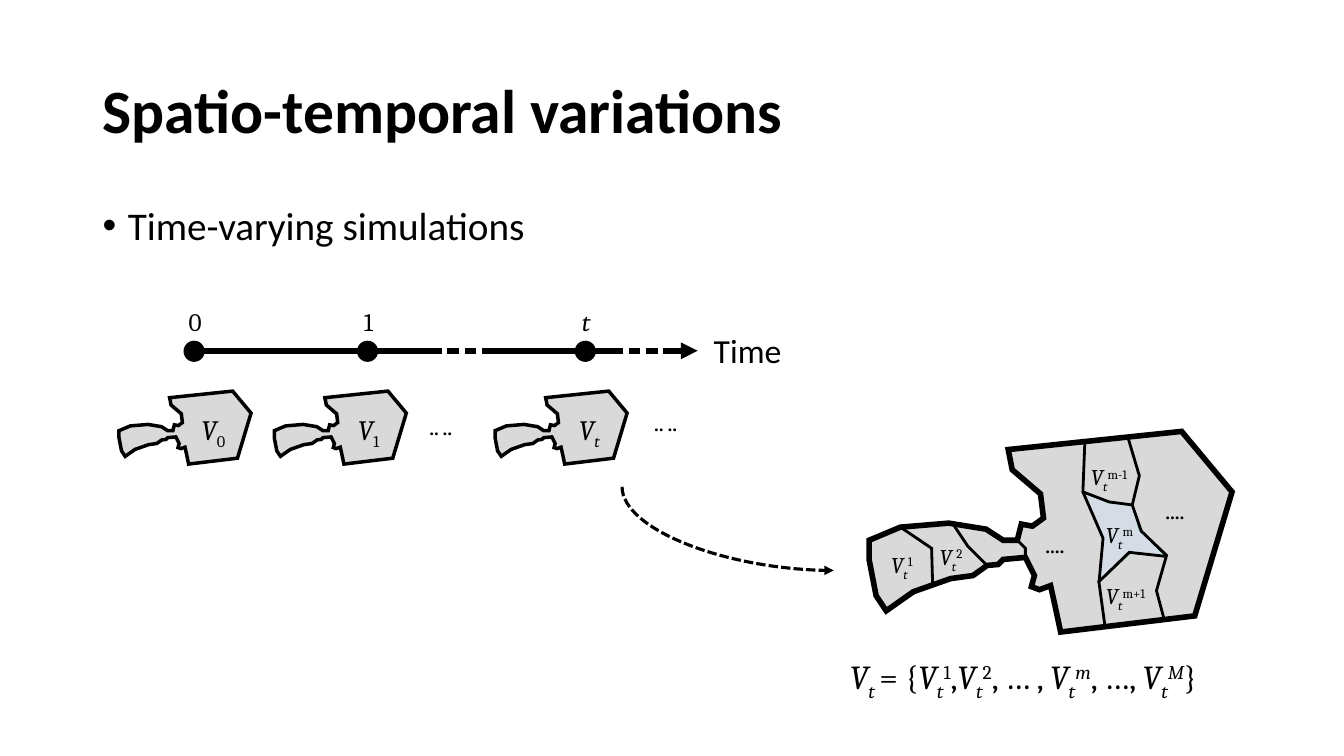
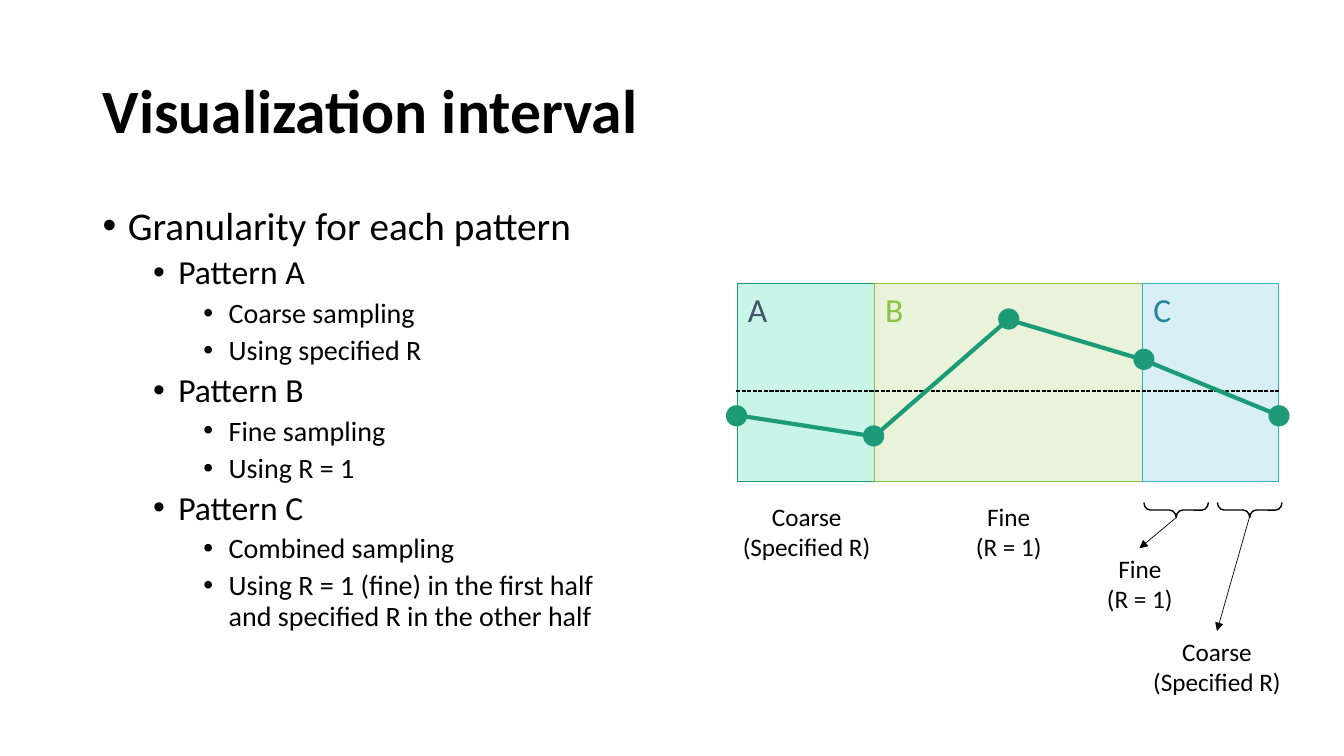
from dataclasses import dataclass
from typing import NamedTuple

from lxml.etree import SubElement
from pptx import Presentation
from pptx.dml.color import RGBColor
from pptx.enum.dml import MSO_LINE_DASH_STYLE as Dash
from pptx.enum.shapes import MSO_CONNECTOR as Connector, MSO_SHAPE as Shape
from pptx.enum.text import MSO_ANCHOR as Anchor, MSO_AUTO_SIZE as AutoSize, PP_ALIGN as Align
from pptx.oxml.ns import qn
from pptx.util import Pt

PX = 9144


@dataclass(frozen=True)
class Theme:
    sans: str = "Calibri"
    serif: str = "Cambria"
    ink: str = "000000"
    paper: str = "FFFFFF"
    vessel: str = "D9D9D9"
    cell: str = "D6DCE5"
    accent: str = "1D9A78"
    bands: tuple = (
        ("A", "C8F5E8", "1D9A78", "44546A"),
        ("B", "E8F3DA", "8BC145", "8BC145"),
        ("C", "D7EFF5", "36AFCE", "26859D"),
    )
    title: int = 44
    levels: tuple = (28, 24, 20)
    large: int = 24
    symbol: int = 20
    label: int = 18
    small: int = 16
    dots: int = 12


THEME = Theme()


class Box(NamedTuple):
    left: int
    top: int
    width: int
    height: int

    def inner(self, x, y, width, height):
        return Box(self.left + x, self.top + y, width, height)

    def points(self, pairs):
        return [(self.left + x, self.top + y) for x, y in pairs]

    def emu(self):
        return [round(value * PX) for value in self]


TITLE = Box(92, 40, 1150, 145)
BODY = Box(92, 200, 1150, 476)
DOT = 21
VESSEL_WIDTH = 360
VESSEL_OUTLINE = (
    (0, 108), (31, 95), (79, 91), (116, 97), (133, 108), (147, 108), (151, 92),
    (162, 94), (173, 86), (170, 62), (142, 38), (138, 18), (310, 0), (360, 60),
    (323, 183), (190, 199), (184, 171), (180, 153), (169, 157), (161, 154),
    (164, 143), (155, 125), (133, 127), (128, 132), (117, 133), (103, 143),
    (81, 146), (44, 159), (17, 178), (7, 163), (0, 127),
)
VESSEL_CELL = (
    (213, 60), (238, 71), (261, 73), (268, 98), (294, 124), (259, 121), (228, 150), (232, 108),
)
VESSEL_WALLS = (
    ((31, 95), (62, 116), (63, 152)),
    ((84, 93), (98, 114), (117, 133)),
    ((214, 10), (212, 60), (232, 106), (228, 150), (234, 194)),
    ((147, 108), (155, 116), (155, 126)),
    ((257, 7), (268, 44), (261, 73), (270, 99), (295, 123), (285, 158), (293, 188)),
    ((212, 60), (238, 70), (261, 73)),
    ((227, 150), (258, 120), (294, 124)),
)


def rgb(color):
    return RGBColor.from_string(color)


def add_text(slide, text, box, *, size=THEME.label, font=THEME.sans, color=THEME.ink,
             bold=False, align=Align.LEFT, anchor=Anchor.TOP, wrap=False):
    shape = slide.shapes.add_textbox(*box.emu())
    frame = shape.text_frame
    frame.word_wrap = wrap
    frame.auto_size = AutoSize.NONE if wrap else AutoSize.SHAPE_TO_FIT_TEXT
    frame.vertical_anchor = anchor
    lines = [[(line, "")] for line in text.split("\n")] if isinstance(text, str) else [text]
    for index, runs in enumerate(lines):
        paragraph = frame.add_paragraph() if index else frame.paragraphs[0]
        paragraph.alignment = align
        for content, style in runs:
            for part_index, part in enumerate(content.split("\v")):
                if part_index:
                    paragraph.add_line_break()
                run = paragraph.add_run()
                run.text = part
                run.font.size = Pt(size)
                run.font.name = font
                run.font.bold = bold
                run.font.italic = "i" in style
                run.font.color.rgb = rgb(color)
                if "_" in style or "^" in style:
                    baseline = "-25000" if "_" in style else "30000"
                    run._r.get_or_add_rPr().set("baseline", baseline)
    return frame


def volume(sub, sup="", styles=("i_", "^")):
    runs = [("V", "i"), (sub, styles[0])]
    return runs + [(sup, styles[1])] if sup else runs


def style_line(shape, color, weight, dash=None, arrow=False):
    shape.line.color.rgb = rgb(color)
    shape.line.width = Pt(weight)
    if dash:
        shape.line.dash_style = dash
    line = shape.element.spPr.find(qn("a:ln"))
    SubElement(line, qn("a:miter"), lim="800000")
    if arrow:
        SubElement(line, qn("a:tailEnd"), type="triangle")


def style_shape(shape, fill=None, line=None, weight=1):
    shape.shadow.inherit = False
    if fill:
        shape.fill.solid()
        shape.fill.fore_color.rgb = rgb(fill)
    else:
        shape.fill.background()
    if line:
        style_line(shape, line, weight)
    else:
        shape.line.fill.background()
    return shape


def add_preset(slide, kind, box, **style):
    return style_shape(slide.shapes.add_shape(kind, *box.emu()), **style)


def add_outline(slide, points, close=False, **style):
    emu_points = [(round(x * PX), round(y * PX)) for x, y in points]
    builder = slide.shapes.build_freeform(*emu_points[0])
    builder.add_line_segments(emu_points[1:], close=close)
    return style_shape(builder.convert_to_shape(), **style)


def add_line(slide, start, end, weight, color=THEME.ink, kind=Connector.STRAIGHT, **style):
    ends = [round(value * PX) for value in (*start, *end)]
    connector = slide.shapes.add_connector(kind, *ends)
    style_line(connector, color, weight, **style)
    SubElement(connector.element.spPr, qn("a:effectLst"))
    return connector


def add_dot(slide, x, y, color):
    corner = Box(round(x - DOT / 2), round(y - DOT / 2), DOT, DOT)
    add_preset(slide, Shape.OVAL, corner, fill=color)


def add_title(slide, title):
    frame = add_text(slide, title, TITLE, size=THEME.title, bold=True,
                     anchor=Anchor.MIDDLE, wrap=True)
    frame.paragraphs[0].line_spacing = 0.9


def add_bullets(slide, items):
    frame = add_text(slide, "\n".join(text for _, text in items), BODY, wrap=True)
    for index, ((level, _), paragraph) in enumerate(zip(items, frame.paragraphs)):
        paragraph.line_spacing = 0.9
        if index:
            paragraph.space_before = Pt(5)
        paragraph.level = level
        properties = paragraph._p.get_or_add_pPr()
        properties.set("marL", str((25 + 50 * level) * PX))
        properties.set("indent", str(-25 * PX))
        SubElement(properties, qn("a:buFont"), typeface="Arial")
        SubElement(properties, qn("a:buChar"), char="•")
        for run in paragraph.runs:
            run.font.size = Pt(THEME.levels[level])


def add_vessel(slide, box, weight):
    scale = box.width / VESSEL_WIDTH
    scaled = [(x * scale, y * scale) for x, y in VESSEL_OUTLINE]
    add_outline(slide, box.points(scaled), close=True, fill=THEME.vessel,
                line=THEME.ink, weight=weight)


def add_timeline(slide, box):
    axis = box.top + 49
    add_line(slide, (box.left + 72, axis), (box.left + 574, axis), 4, arrow=True)
    for first in (323, 503):
        for x in range(first, first + 35, 17):
            add_line(slide, (box.left + x, axis - 15), (box.left + x, axis + 16), 4, THEME.paper)
    add_text(slide, "Time", box.inner(580, 23, 88, 50), size=THEME.large)
    steps = (("0", "", 75, 0), ("1", "", 247, 154), ("t", "i", 463, 373))
    for name, style, x, vessel_x in steps:
        add_dot(slide, box.left + x, axis, THEME.ink)
        add_text(slide, [(name, style)], box.inner(x - 16, 0, 33, 40),
                 font=THEME.serif, align=Align.CENTER)
        vessel = box.inner(vessel_x, 89, 131, 72)
        add_vessel(slide, vessel, 2.5)
        add_text(slide, volume(name, styles=(style + "_", "")), vessel.inner(70, 16, 47, 44),
                 size=THEME.symbol, font=THEME.serif, align=Align.CENTER)
    for x, y in ((298, 112), (521, 108)):
        add_text(slide, "‥ ‥", box.inner(x, y, 58, 30), size=THEME.dots, bold=True)


def add_partition(slide, box):
    add_vessel(slide, box, 4)
    add_outline(slide, box.points(VESSEL_CELL), close=True, fill=THEME.cell,
                line=THEME.accent, weight=0.5)
    for wall in VESSEL_WALLS:
        add_outline(slide, box.points(wall), line=THEME.ink, weight=2)
    for x, y in ((165, 100), (284, 66)):
        add_text(slide, "‥‥", box.inner(x, y, 54, 30), size=THEME.dots, bold=True)
    parts = (("1", 12, 114, 46), ("2", 60, 106, 46), ("m", 225, 84, 50),
             ("m-1", 210, 27, 62), ("m+1", 225, 145, 66))
    for sup, x, y, width in parts:
        add_text(slide, volume("t", sup), box.inner(x, y, width, 37),
                 size=THEME.small, font=THEME.serif)
    formula = [
        *volume("t "), ("= {", ""), *volume("t", "1"), (",", ""), *volume("t", "2"),
        (", … , ", ""), *volume("t", "m", ("i_", "i^")), (", …, ", ""),
        *volume("t", "M", ("i_", "i^")), ("}", ""),
    ]
    add_text(slide, formula, box.inner(-29, 218, 431, 50), size=THEME.large, font=THEME.serif)


def add_link(slide, box):
    middle_x, middle_y = box.left + box.width / 2, box.top + box.height / 2
    half_x, half_y = box.height / 2, box.width / 2
    connector = add_line(slide, (middle_x + half_x, middle_y - half_y),
                         (middle_x - half_x, middle_y + half_y), 2.25,
                         kind=Connector.CURVE, dash=Dash.SQUARE_DOT, arrow=True)
    properties = connector.element.spPr
    properties.find(qn("a:xfrm")).set("rot", "16200000")
    properties.find(qn("a:prstGeom")).set("prst", "curvedConnector2")


def add_intervals(slide, box):
    edges = (0, 136, 402, box.width)
    for (_, fill, line, _), start, end in zip(THEME.bands, edges, edges[1:]):
        add_preset(slide, Shape.RECTANGLE, box.inner(start, 0, end - start, box.height),
                   fill=fill, line=line, weight=0.5)
    threshold = box.top + 107
    add_line(slide, (box.left - 1, threshold), (box.left + box.width + 2, threshold), 1,
             dash=Dash.SQUARE_DOT)
    samples = box.points(((0, 131), (136, 152), (269, 36), (403, 76), (537, 131)))
    for x, y in samples:
        add_dot(slide, x, y, THEME.accent)
    for (name, _, _, color), start in zip(THEME.bands, edges):
        add_text(slide, name, box.inner(start + 1, 1, 40, 50), size=THEME.large, color=color)
    add_outline(slide, samples, line=THEME.accent, weight=3)


def add_sampling_notes(slide, box):
    coarse, fine = ("Coarse\n(Specified R)", 172), ("Fine\n(R = 1)", 103)
    notes = ((coarse, 69, 0), (fine, 269, 0), (coarse, 476, 134), (fine, 399, 52))
    for (text, width), center, y in notes:
        add_text(slide, text, box.inner(center - width // 2, y, width, 71), align=Align.CENTER)
    for center, tip, drop in ((435, 399, 52), (508, 476, 134)):
        brace = add_preset(slide, Shape.RIGHT_BRACE, box.inner(center - 7, -18, 15, 64),
                           line=THEME.ink)
        brace.rotation = 90
        brace.adjustments[0] = 0.43
        start, end = box.points(((center, 22), (tip, drop)))
        add_line(slide, start, end, 0.5, arrow=True)


def build_variations(slide):
    add_title(slide, "Spatio-temporal variations")
    add_bullets(slide, [(0, "Time-varying simulations")])
    add_timeline(slide, Box(118, 299, 668, 161))
    add_partition(slide, Box(862, 428, VESSEL_WIDTH, 200))
    add_link(slide, Box(617, 483, 210, 83))


def build_interval(slide):
    add_title(slide, "Visualization interval")
    add_bullets(slide, [
        (0, "Granularity for each pattern"),
        (1, "Pattern A"), (2, "Coarse sampling"), (2, "Using specified R"),
        (1, "Pattern B"), (2, "Fine sampling"), (2, "Using R = 1"),
        (1, "Pattern C"), (2, "Combined sampling"),
        (2, "Using R = 1 (fine) in the first half\vand specified R in the other half"),
    ])
    add_intervals(slide, Box(731, 281, 537, 197))
    add_sampling_notes(slide, Box(731, 492, 537, 205))


def main():
    presentation = Presentation()
    presentation.slide_width, presentation.slide_height = 1333 * PX, 750 * PX
    for build in (build_variations, build_interval):
        build(presentation.slides.add_slide(presentation.slide_layouts[6]))
    presentation.save("out.pptx")


if __name__ == "__main__":
    main()
